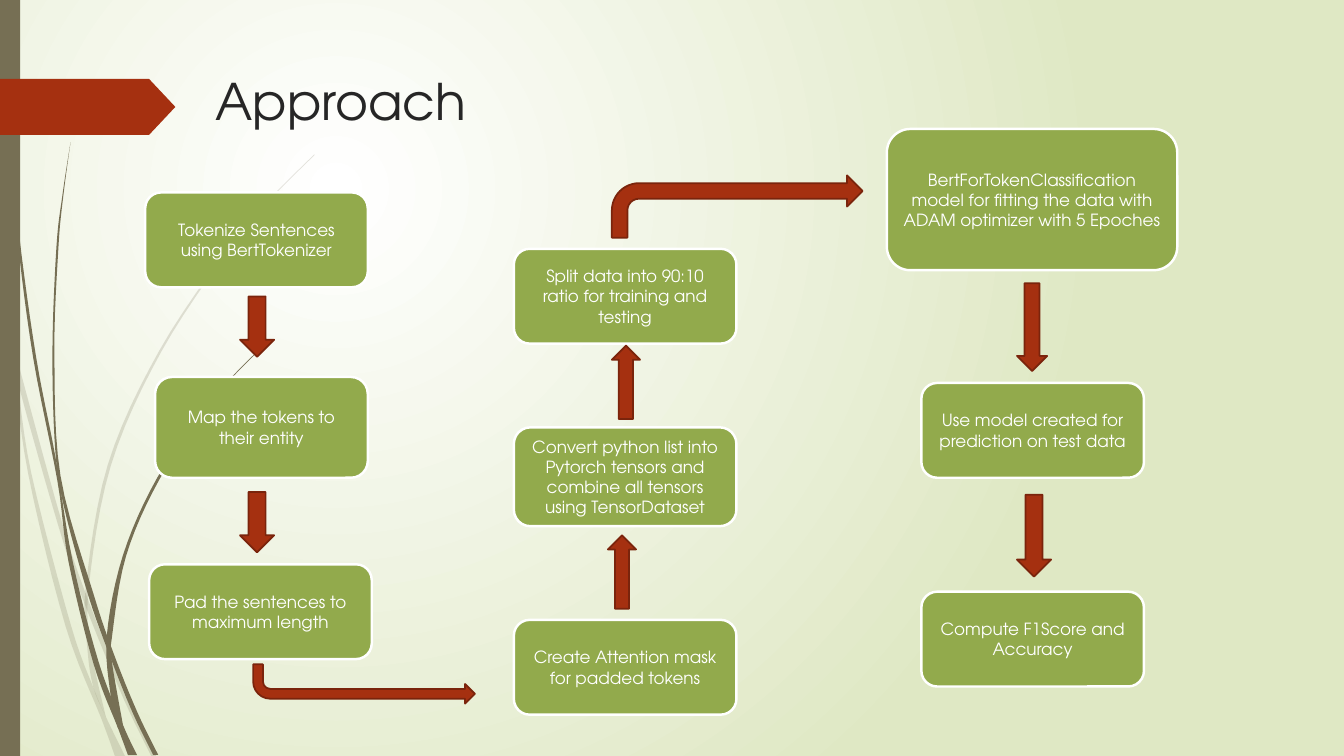
from lxml import etree
from pptx import Presentation
from pptx.dml.color import RGBColor
from pptx.enum.shapes import MSO_SHAPE as SHAPE
from pptx.enum.text import MSO_ANCHOR as ANCHOR, PP_ALIGN as ALIGN
from pptx.oxml.ns import qn
from pptx.util import Cm, Pt

FONT = "TeX Gyre Adventor"
WHITE = RGBColor(0xFF, 0xFF, 0xFF)
PALE = RGBColor(0xDF, 0xE8, 0xC4)
GREEN = RGBColor(0x92, 0xAA, 0x4C)
RED = RGBColor(0xA5, 0x30, 0x10)
DARK_RED = RGBColor(0x7A, 0x24, 0x0C)
BROWN = RGBColor(0x76, 0x6F, 0x54)
INK = RGBColor(0x26, 0x26, 0x26)

TITLE = "Approach"
BOX_W, BOX_H = 5.61, 2.39

# text, left, top, width, height in cm
STEPS = [
    ("Tokenize Sentences using BertTokenizer", 3.66, 4.85, BOX_W, BOX_H),
    ("Map the tokens to their entity", 3.91, 9.5, 5.36, 2.54),
    ("Pad the sentences to maximum length", 3.76, 14.22, BOX_W, BOX_H),
    ("Create Attention mask for padded tokens", 12.95, 15.62, BOX_W, BOX_H),
    ("Convert python list into Pytorch tensors and combine all tensors "
     "using TensorDataset", 12.95, 10.77, BOX_W, 2.49),
    ("Split data into 90:10 ratio for training and testing",
     12.95, 6.27, BOX_W, BOX_H),
    ("BertForTokenClassification model for fitting the data with ADAM "
     "optimizer with 5 Epoches", 22.35, 3.25, 7.32, 3.56),
    ("Use model created for prediction on test data",
     23.22, 9.65, BOX_W, BOX_H),
    ("Compute F1Score and Accuracy", 23.22, 14.91, BOX_W, BOX_H),
]

# kind, left, top, width, height in cm, mirrored top to bottom
ARROWS = [
    (SHAPE.DOWN_ARROW, 6.05, 7.47, 0.86, 1.52, False),
    (SHAPE.DOWN_ARROW, 6.05, 12.4, 0.86, 1.52, False),
    (SHAPE.UP_ARROW, 15.32, 13.49, 0.71, 1.85, False),
    (SHAPE.UP_ARROW, 15.42, 8.71, 0.71, 1.85, False),
    (SHAPE.DOWN_ARROW, 25.63, 7.14, 0.76, 2.21, False),
    (SHAPE.DOWN_ARROW, 25.63, 12.47, 0.86, 2.06, False),
    (SHAPE.BENT_ARROW, 15.42, 4.42, 6.32, 1.57, False),
    (SHAPE.BENT_ARROW, 6.38, 16.74, 5.59, 0.99, True),
]

# Grass blades: left edge and right edge from tip to root, in inches
PALE_BLADES = [
    ([(0, 2.99), (.11, 3.5), (.28, 4.7), (.65, 6.21), (1.01, 7.14),
      (1.14, 7.5)],
     [(0, 2.82), (.11, 3.48), (.17, 3.76), (.31, 4.69), (.7, 6.19),
      (.93, 6.83), (1.05, 7.11), (1.24, 7.5)]),
    ([(.14, 3.45), (.17, 3.76), (.58, 5.22), (.84, 5.99), (1.23, 6.94),
      (1.5, 7.5)],
     [(.14, 3.45), (.62, 5.2), (.92, 6.07), (1.27, 6.92), (1.55, 7.5)]),
    ([(3.12, 1.53), (2.68, 1.97), (2.28, 2.44), (1.58, 3.48), (1.07, 4.61),
      (.85, 5.84), (.87, 6.46), (.93, 6.83), (1.05, 7.11)],
     [(3.12, 1.54), (2.68, 1.98), (2.29, 2.45), (1.6, 3.49), (1.1, 4.62),
      (.88, 5.84), (.91, 6.46), (1.05, 7.11)]),
]
DARK_BLADES = [
    ([(.03, 0), (.07, 1.1), (.17, 2.33), (.33, 3.55), (.57, 4.77),
      (.68, 5.57), (.93, 6.59), (1.17, 7.22), (1.27, 7.49)],
     [(.04, 0), (.08, 1.09), (.19, 2.32), (.36, 3.55), (.55, 4.53),
      (.72, 5.56), (.98, 6.57), (1.22, 7.19), (1.36, 7.49)]),
    ([(.7, 1.41), (.62, 1.93), (.56, 2.45), (.52, 3.49), (.55, 4.49),
      (.64, 5.05), (.88, 5.92), (1.11, 6.56), (1.32, 7.08), (1.52, 7.49)],
     [(.7, 1.41), (.63, 1.93), (.58, 2.45), (.54, 3.49), (.6, 4.72),
      (.93, 5.9), (1.13, 6.49), (1.36, 7.06), (1.57, 7.49)]),
    ([(2.6, 3.44), (2.31, 3.73), (2.04, 4.05), (1.56, 4.74), (1.22, 5.51),
      (1.06, 6.31), (1.1, 6.91), (1.17, 7.22)],
     [(2.61, 3.44), (2.31, 3.74), (2.05, 4.06), (1.58, 4.76), (1.25, 5.52),
      (1.11, 6.33), (1.11, 6.56), (1.22, 7.19)]),
]


def paint(sp, fill, line=None, width=0):
    sp.shadow.inherit = False
    sp.fill.solid()
    sp.fill.fore_color.rgb = fill
    if line is None:
        sp.line.fill.background()
    else:
        sp.line.color.rgb = line
        sp.line.width = Pt(width)


def add_shape(s, kind, box, *colours):
    sp = s.shapes.add_shape(kind, *map(Cm, box))
    paint(sp, *colours)
    return sp


def write(sp, text, size, colour, align, anchor):
    tf = sp.text_frame
    tf.word_wrap = True
    tf.vertical_anchor = anchor
    p = tf.paragraphs[0]
    p.alignment = align
    r = p.add_run()
    r.text = text
    r.font.name = FONT
    r.font.size = Pt(size)
    r.font.color.rgb = colour


def smooth(points, steps=6):
    """Catmull-Rom curve through the points."""
    ends = [points[0], *points, points[-1]]
    curve = []
    for a, b, c, d in zip(ends, ends[1:], ends[2:], ends[3:]):
        for t in (i / steps for i in range(steps)):
            curve.append(tuple(
                (2 * q + (r - p) * t + (2 * p - 5 * q + 4 * r - u) * t ** 2
                 + (3 * q - p - 3 * r + u) * t ** 3) / 2
                for p, q, r, u in zip(a, b, c, d)))
    return curve + [points[-1]]


def add_blade(s, left, right, opacity):
    outline = [(Cm(x * 2.54), Cm(y * 2.54))
               for x, y in smooth(left) + smooth(right)[::-1]]
    fb = s.shapes.build_freeform(*outline[0])
    fb.add_line_segments(outline[1:], close=True)
    sp = fb.convert_to_shape()
    paint(sp, BROWN)
    if opacity < 100:
        rgb = sp._element.spPr.find(qn("a:solidFill"))[0]
        etree.SubElement(rgb, qn("a:alpha"), val=str(opacity * 1000))


def set_background(s):
    """Radial gradient from white near the top left to pale green."""
    fill = s.background.fill
    fill.gradient()
    for stop, position, colour in zip(fill.gradient_stops, (0, 1),
                                      (WHITE, PALE)):
        stop.position = position
        stop.color.rgb = colour
    grad = s._element.find(".//" + qn("a:gradFill"))
    grad.remove(grad.find(qn("a:lin")))
    radial = etree.SubElement(grad, qn("a:path"), path="circle")
    etree.SubElement(radial, qn("a:fillToRect"),
                     l="50000", t="50000", r="100000", b="100000")


def main():
    prs = Presentation()
    prs.slide_width, prs.slide_height = Cm(33.87), Cm(19.05)
    s = prs.slides.add_slide(prs.slide_layouts[6])
    set_background(s)

    for blades, opacity in ((PALE_BLADES, 20), (DARK_BLADES, 100)):
        for left, right in blades:
            add_blade(s, left, right, opacity)
    add_shape(s, SHAPE.RECTANGLE, (0, 0, 0.51, 19.05), BROWN)
    tag = add_shape(s, SHAPE.PENTAGON, (0, 1.99, 4.42, 1.41), RED)
    tag.adjustments[0] = 0.47

    title = s.shapes.add_textbox(Cm(5.18), Cm(1.65), Cm(26.75), Cm(2.16))
    write(title, TITLE, 36, INK, ALIGN.LEFT, ANCHOR.TOP)

    for text, *box in STEPS:
        sp = add_shape(s, SHAPE.ROUNDED_RECTANGLE, box, GREEN, WHITE, 1.75)
        write(sp, text, 12, WHITE, ALIGN.CENTER, ANCHOR.MIDDLE)

    for kind, *box, mirrored in ARROWS:
        sp = add_shape(s, kind, box, RED, DARK_RED, 1.25)
        if mirrored:
            sp.rotation = 180
            sp._element.spPr.find(qn("a:xfrm")).set("flipH", "1")

    prs.save("out.pptx")


if __name__ == "__main__":
    main()
